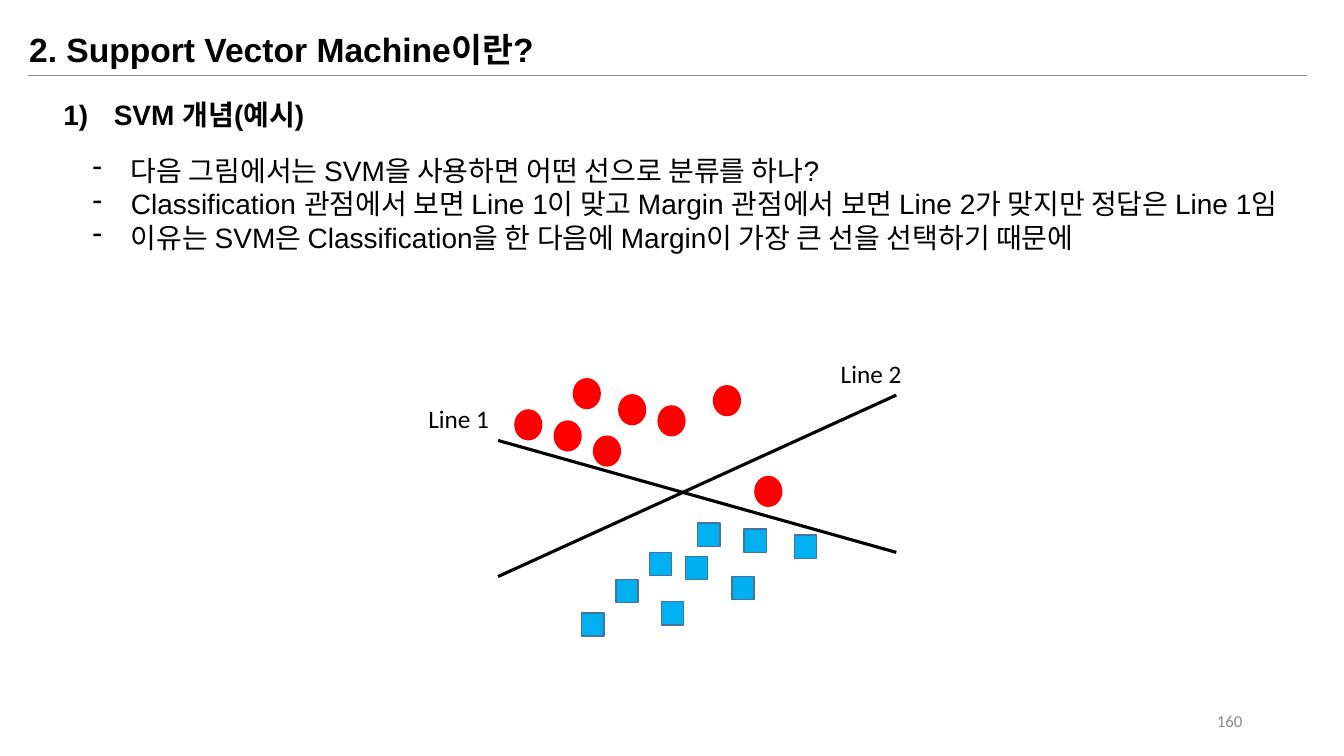
from dataclasses import dataclass

from lxml.etree import SubElement
from pptx import Presentation
from pptx.dml.color import RGBColor
from pptx.enum.shapes import MSO_CONNECTOR, MSO_SHAPE
from pptx.enum.text import MSO_ANCHOR, PP_ALIGN
from pptx.oxml.ns import qn
from pptx.util import Pt

PX = 9144


@dataclass(frozen=True)
class Theme:
    """Hold the colours, fonts and sizes of the slide."""

    ink: str = "000000"
    grey: str = "8C8C8C"
    red: str = "FF0000"
    blue: str = "00B0F0"
    edge: str = "43739E"
    text_font: str = "Arial"
    label_font: str = "Calibri"
    title: int = 24
    body: int = 20
    label: int = 18
    number: int = 12
    hairline: float = 0.5
    outline: float = 1
    separator: float = 2.25


THEME = Theme()
BULLETS = [
    "다음 그림에서는 SVM을 사용하면 어떤 선으로 분류를 하나?",
    "Classification 관점에서 보면 Line 1이 맞고 Margin 관점에서 보면 Line 2가 맞지만 정답은 Line 1임",
    "이유는 SVM은 Classification을 한 다음에 Margin이 가장 큰 선을 선택하기 때문에",
]
CIRCLES = [(568, 375), (652, 402), (613, 391), (549, 417),
           (588, 432), (707, 382), (510, 406), (748, 472)]
SQUARES = [(680, 552), (692, 519), (738, 525), (726, 572), (611, 575),
           (577, 608), (788, 531), (644, 548), (656, 597)]


def emu(*lengths):
    """Turn px lengths into EMU."""
    return [length * PX for length in lengths]


def apply(target, formats):
    """Set each attribute named in formats."""
    for name, value in formats.items():
        setattr(target, name, value)


def add_bullet(para, indent, tag, **values):
    """Give a paragraph a hanging bullet."""
    properties = para._p.get_or_add_pPr()
    properties.set("marL", str(indent * PX))
    properties.set("indent", str(-indent * PX))
    SubElement(properties, qn(tag), values)


def add_text(page, place, lines, size, font=THEME.text_font, color=THEME.ink,
             bold=False, align=PP_ALIGN.LEFT, anchor=MSO_ANCHOR.TOP, bullet=None):
    """Add a wrapped text box with one paragraph per line."""
    frame = page.shapes.add_textbox(*emu(*place)).text_frame
    apply(frame, {"word_wrap": True, "vertical_anchor": anchor})
    for index, line in enumerate(lines):
        para = frame.paragraphs[0] if index == 0 else frame.add_paragraph()
        para.alignment = align
        if bullet:
            add_bullet(para, **bullet)
        span = para.add_run()
        span.text = line
        apply(span.font, {"name": font, "size": Pt(size), "bold": bold})
        span.font.color.rgb = RGBColor.from_string(color)


def add_line(page, start, end, color, width):
    """Add a straight line without a shadow."""
    line = page.shapes.add_connector(MSO_CONNECTOR.STRAIGHT, *emu(*start, *end))
    line.line.color.rgb = RGBColor.from_string(color)
    line.line.width = Pt(width)
    SubElement(line._element.spPr, qn("a:effectLst"))


def add_points(page, kind, corners, size, fill, edge=None):
    """Add one equal marker at each corner position."""
    for corner in corners:
        point = page.shapes.add_shape(kind, *emu(*corner, *size))
        point.shadow.inherit = False
        point.fill.solid()
        point.fill.fore_color.rgb = RGBColor.from_string(fill)
        if edge:
            point.line.color.rgb = RGBColor.from_string(edge)
            point.line.width = Pt(THEME.outline)
        else:
            point.line.fill.background()


def main():
    """Build the slide and save it."""
    deck = Presentation()
    apply(deck, dict(zip(("slide_width", "slide_height"), emu(1333, 750))))
    page = deck.slides.add_slide(deck.slide_layouts[6])

    add_line(page, (28, 75), (1296, 75), THEME.grey, THEME.hairline)
    add_text(page, (19, 24, 915, 50), ["2. Support Vector Machine이란?"],
             THEME.title, bold=True)
    add_text(page, (53, 92, 915, 77), ["SVM 개념(예시)"], THEME.body, bold=True,
             bullet={"indent": 50, "tag": "a:buAutoNum", "type": "arabicParenR"})
    add_text(page, (82, 147, 1209, 279), BULLETS, THEME.body,
             bullet={"indent": 38, "tag": "a:buChar", "char": "-"})
    add_text(page, (942, 695, 300, 40), ["160"], THEME.number, THEME.label_font,
             THEME.grey, align=PP_ALIGN.RIGHT, anchor=MSO_ANCHOR.MIDDLE)

    add_points(page, MSO_SHAPE.OVAL, CIRCLES, (28, 31), THEME.red)
    add_points(page, MSO_SHAPE.RECTANGLE, SQUARES, (22, 23), THEME.blue, THEME.edge)
    for name, corner, start, end in (
        ("Line 1", (415, 395), (494, 437), (889, 548)),
        ("Line 2", (824, 351), (494, 572), (889, 392)),
    ):
        add_text(page, (*corner, 122, 40), [name], THEME.label, THEME.label_font)
        add_line(page, start, end, THEME.ink, THEME.separator)
    deck.save("out.pptx")


if __name__ == "__main__":
    main()
